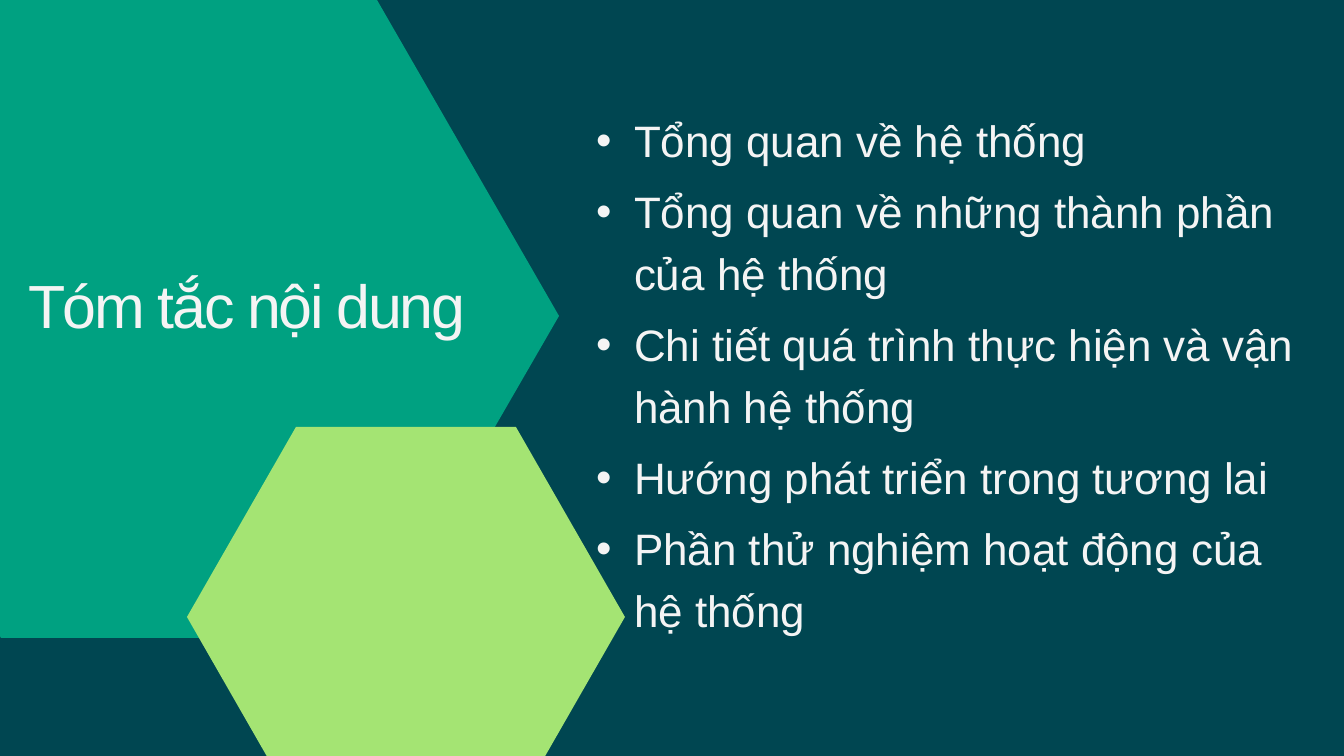
import pptx
import pptx.dml.color
import pptx.enum.text
import pptx.oxml.ns
import pptx.util
from lxml import etree

RGB = pptx.dml.color.RGBColor
NAVY = RGB(0x00, 0x46, 0x51)
TEAL = RGB(0x00, 0xA1, 0x81)
LIME = RGB(0xA4, 0xE4, 0x73)
WHITE = RGB(0xF4, 0xF4, 0xF4)
SCALE = 9676  # EMU in one px

LEFT, WIDTH = 559, 755  # column of topics
LINE, GAP = 62, 9  # line pitch and space between topics
TOPICS = [
    ("Tổng quan về hệ thống", 1),
    ("Tổng quan về những thành phần của hệ thống", 2),
    ("Chi tiết quá trình thực hiện và vận hành hệ thống", 2),
    ("Hướng phát triển trong tương lai", 1),
    ("Phần thử nghiệm hoạt động của hệ thống", 2),
]


def px(size):
    return pptx.util.Emu(size * SCALE)


def write(frame, text, size, pitch, font="Arial", color=WHITE, space=0, bullet=False):
    frame.margin_left = frame.margin_right = 0
    frame.margin_top = frame.margin_bottom = 0
    frame.word_wrap = True
    frame.auto_size = pptx.enum.text.MSO_AUTO_SIZE.SHAPE_TO_FIT_TEXT
    frame.vertical_anchor = pptx.enum.text.MSO_ANCHOR.TOP
    para = frame.paragraphs[0]
    if bullet:
        para.level = 1
        props = para._p.get_or_add_pPr()
        props.set("marL", str(px(75)))
        props.set("indent", str(px(-38)))
        for tag, key, value in (("a:buFont", "typeface", font), ("a:buChar", "char", "•")):
            etree.SubElement(props, pptx.oxml.ns.qn(tag)).set(key, value)
    para.alignment = pptx.enum.text.PP_ALIGN.LEFT
    para.line_spacing = pptx.util.Pt(pitch)
    run = para.add_run()
    run.text = text
    run.font.name = font
    run.font.size = pptx.util.Pt(size)
    run.font.color.rgb = color
    if space:
        run._r.get_or_add_rPr().set("spc", str(space))


class Deck:
    def __init__(self, width, height, color):
        self.file = pptx.Presentation()
        self.file.slide_width, self.file.slide_height = px(width), px(height)
        self.slide = self.file.slides.add_slide(self.file.slide_layouts[5])
        fill = self.slide.background.fill
        fill.solid()
        fill.fore_color.rgb = color

    def place(self, shape, left, top, width, height):
        shape.left, shape.top = px(left), px(top)
        shape.width, shape.height = px(width), px(height)

    def title(self, box, text, **style):
        shape = self.slide.shapes.title
        self.place(shape, *box)
        # Bring the title in front of the hexagons
        self.slide.shapes._spTree.append(shape._element)
        write(shape.text_frame, text, **style)

    def text(self, box, text, **style):
        shape = self.slide.shapes.add_textbox(*map(px, box))
        write(shape.text_frame, text, **style)

    def hexagon(self, left, top, width, height, color):
        right, low, mid = left + width, top + height, top + height / 2
        near, far = left + width / 4, right - width / 4
        path = self.slide.shapes.build_freeform(right, mid, scale=SCALE)
        path.add_line_segments(
            [(far, low), (near, low), (left, mid), (near, top), (far, top)], close=True)
        shape = path.convert_to_shape()
        shape.shadow.inherit = False
        shape.fill.solid()
        shape.fill.fore_color.rgb = color
        shape.line.fill.background()


def main():
    deck = Deck(1344, 756, NAVY)

    # Hexagons
    deck.hexagon(-185, -7, 744, 645, TEAL)
    deck.hexagon(187, 427, 438, 380, LIME)

    # Title
    deck.title((28, 268, 575, 72), "Tóm tắc nội dung", size=46.4, pitch=55.6, space=-170)

    # Topics, one below the other
    top = 105
    for topic, lines in TOPICS:
        deck.text((LEFT, top, WIDTH, lines * LINE - 5), topic,
                  size=33.5, pitch=46.9, bullet=True)
        top += lines * LINE + GAP

    deck.file.save("out.pptx")


if __name__ == "__main__":
    main()
